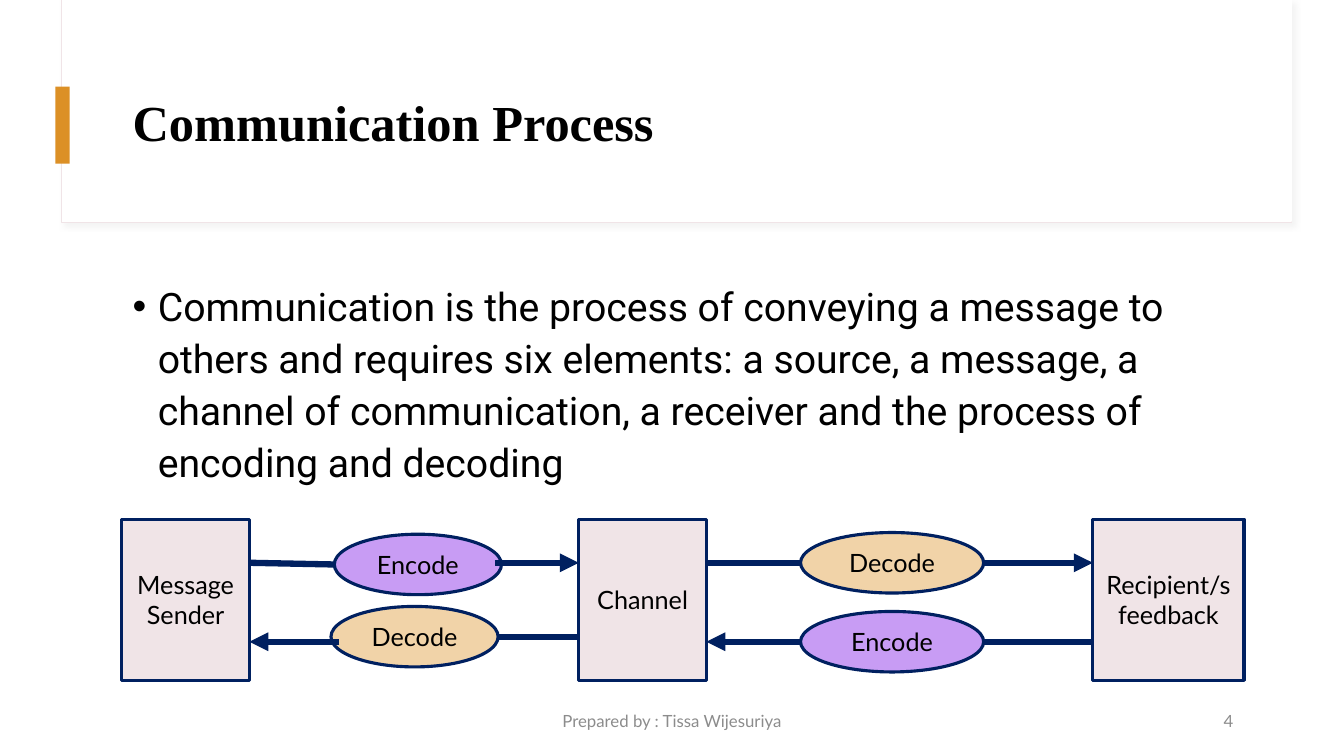
from lxml.etree import SubElement
from pptx import Presentation
from pptx.dml.color import RGBColor
from pptx.enum.shapes import MSO_CONNECTOR, MSO_SHAPE
from pptx.enum.text import MSO_ANCHOR, PP_ALIGN
from pptx.oxml.ns import qn
from pptx.util import Inches, Pt

BLACK = RGBColor(0x00, 0x00, 0x00)
WHITE = RGBColor(0xFF, 0xFF, 0xFF)
GRAY = RGBColor(0x8C, 0x8C, 0x8C)
SHADE = RGBColor(0xD9, 0xD9, 0xD9)
NAVY = RGBColor(0x00, 0x20, 0x60)
ROSE = RGBColor(0xF0, 0xE4, 0xE7)
AMBER = RGBColor(0xDC, 0x90, 0x26)
SAND = RGBColor(0xF1, 0xD3, 0xA8)
LILAC = RGBColor(0xC8, 0x9C, 0xF4)

COLS, ROWS = 160, 90
LABEL = {"name": "Lato", "size": Pt(18)}
SMALL = {"name": "Lato", "size": Pt(12)}
HEAD = {"name": "Times New Roman", "size": Pt(36), "bold": True}
BODY = {"name": "Roboto", "size": Pt(28)}


class Board:
    """Draws on one slide; every length is in columns and rows of its grid."""

    def __init__(self, deck):
        self.slide = deck.slides.add_slide(deck.slide_layouts[6])
        self.shapes = self.slide.shapes
        self.cell = (deck.slide_width / COLS, deck.slide_height / ROWS)

    def place(self, *spots):
        """Turn column, row, column, row ... into slide lengths."""
        return [round(spot * self.cell[i % 2]) for i, spot in enumerate(spots)]

    def letter(self, shape, text, font, color=BLACK, align=PP_ALIGN.CENTER,
               anchor=MSO_ANCHOR.MIDDLE, **form):
        """Put styled text into a shape."""
        frame = shape.text_frame
        frame.word_wrap = True
        frame.vertical_anchor = anchor
        frame.text = text
        for para in frame.paragraphs:
            para.alignment = align
            for key, value in form.items():
                setattr(para, key, value)
            for run in para.runs:
                for key, value in font.items():
                    setattr(run.font, key, value)
                run.font.color.rgb = color

    def text(self, spot, text, font, **form):
        box = self.shapes.add_textbox(*self.place(*spot))
        self.letter(box, text, font, **form)
        return box

    def shape(self, kind, spot, fill, line=None, width=2.25, text=None):
        item = self.shapes.add_shape(kind, *self.place(*spot))
        item.shadow.inherit = False
        item.fill.solid()
        item.fill.fore_color.rgb = fill
        if line is None:
            item.line.fill.background()
        else:
            item.line.color.rgb = line
            item.line.width = Pt(width)
        if text:
            self.letter(item, text, LABEL)
        return item

    def line(self, start, end, arrow=False):
        link = self.shapes.add_connector(
            MSO_CONNECTOR.STRAIGHT, *self.place(*start, *end))
        link.line.color.rgb = NAVY
        link.line.width = Pt(4.5)
        props = link.element.spPr
        if arrow:
            SubElement(props.find(qn("a:ln")), qn("a:tailEnd"), type="triangle")
        SubElement(props, qn("a:effectLst"))


def cast(item):
    """Give a shape a soft shadow to its lower right."""
    effects = item.element.spPr.find(qn("a:effectLst"))
    shadow = SubElement(effects, qn("a:outerShdw"), blurRad=str(Pt(4)),
                        dist=str(Pt(3)), dir="2700000", rotWithShape="0")
    color = SubElement(shadow, qn("a:srgbClr"), val=str(SHADE))
    SubElement(color, qn("a:alpha"), val="30000")


def bullet(box):
    for para in box.text_frame.paragraphs:
        props = para._p.get_or_add_pPr()
        props.set("marL", str(Inches(0.25)))
        props.set("indent", str(-Inches(0.25)))
        SubElement(props, qn("a:buFont"), typeface="Arial")
        SubElement(props, qn("a:buChar"), char="•")


def header(board):
    rect = MSO_SHAPE.RECTANGLE
    cast(board.shape(rect, (7.3, 0, 146.5, 26.5), WHITE, ROSE, 0.75))
    board.shape(rect, (7.4, 0, 146.4, 26.4), WHITE)
    board.shape(rect, (6.6, 10.3, 1.7, 9.2), AMBER)
    board.text((14.6, 7.2, 133.4, 15.5), "Communication Process", HEAD,
               align=PP_ALIGN.LEFT, line_spacing=0.9)


def words(board):
    bullet(board.text(
        (14.6, 32.5, 133.4, 48.5),
        "Communication is the process of conveying a message to others and "
        "requires six elements: a source, a message, a channel of "
        "communication, a receiver and the process of encoding and decoding",
        BODY, align=PP_ALIGN.LEFT, anchor=MSO_ANCHOR.TOP,
        line_spacing=1.1, space_before=Pt(10)))
    board.text((53, 83.4, 54, 4.8), "Prepared by : Tissa Wijesuriya", SMALL,
               color=GRAY)
    board.text((112, 83.4, 36, 4.8), "4", SMALL, color=GRAY,
               align=PP_ALIGN.RIGHT)


def flow(board):
    for left, wide, text in ((14.5, 15.2, "Message Sender"),
                             (68.9, 15.2, "Channel"),
                             (130.1, 18, "Recipient/s\nfeedback")):
        board.shape(MSO_SHAPE.RECTANGLE, (left, 61.8, wide, 19.2), ROSE, NAVY,
                    text=text)

    tints = {"Encode": LILAC, "Decode": SAND}
    for left, top, wide, text in ((39.8, 63.6, 19.9, "Encode"),
                                  (39.4, 72.2, 19.9, "Decode"),
                                  (95.3, 63.4, 21.8, "Decode"),
                                  (95.3, 72.8, 21.8, "Encode")):
        board.shape(MSO_SHAPE.OVAL, (left, top, wide, 7.2), tints[text], NAVY,
                    text=text)

    there, back = 67, 76.4
    for start, end, row in ((58.9, 68.9, there), (117.1, 130.1, there),
                            (95.3, 84.1, back), (40.4, 29.7, back)):
        board.line((start, row), (end, row), arrow=True)
    for start, end in (((84.1, there), (95.3, there)),
                       ((117.1, back), (130.1, back)),
                       ((59.3, 75.8), (68.9, 75.8)),
                       ((29.7, there), (39.8, 67.2))):
        board.line(start, end)


def main():
    deck = Presentation()
    deck.slide_width, deck.slide_height = Inches(13.33), Inches(7.5)
    board = Board(deck)
    header(board)
    words(board)
    flow(board)
    deck.save("out.pptx")


if __name__ == "__main__":
    main()
